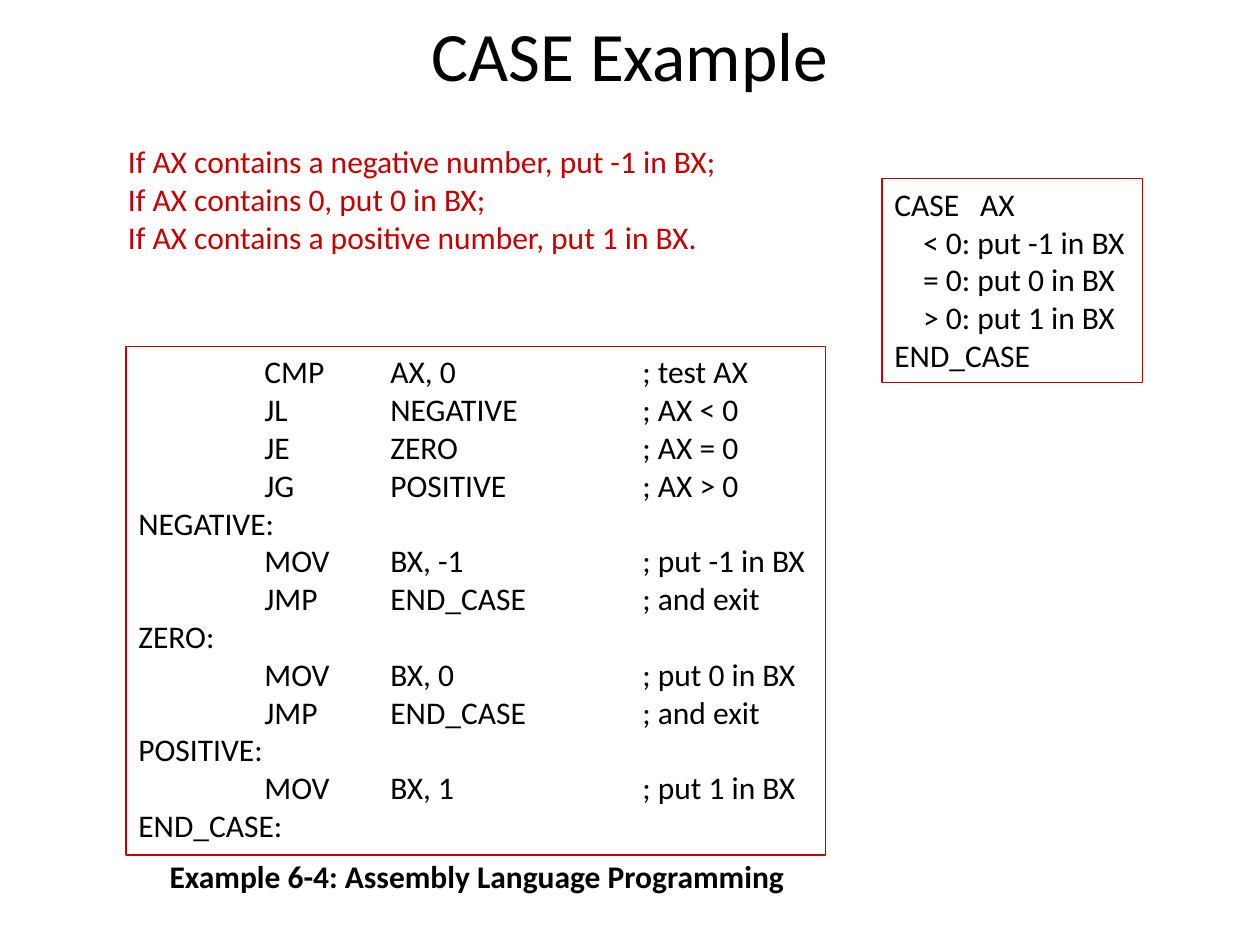
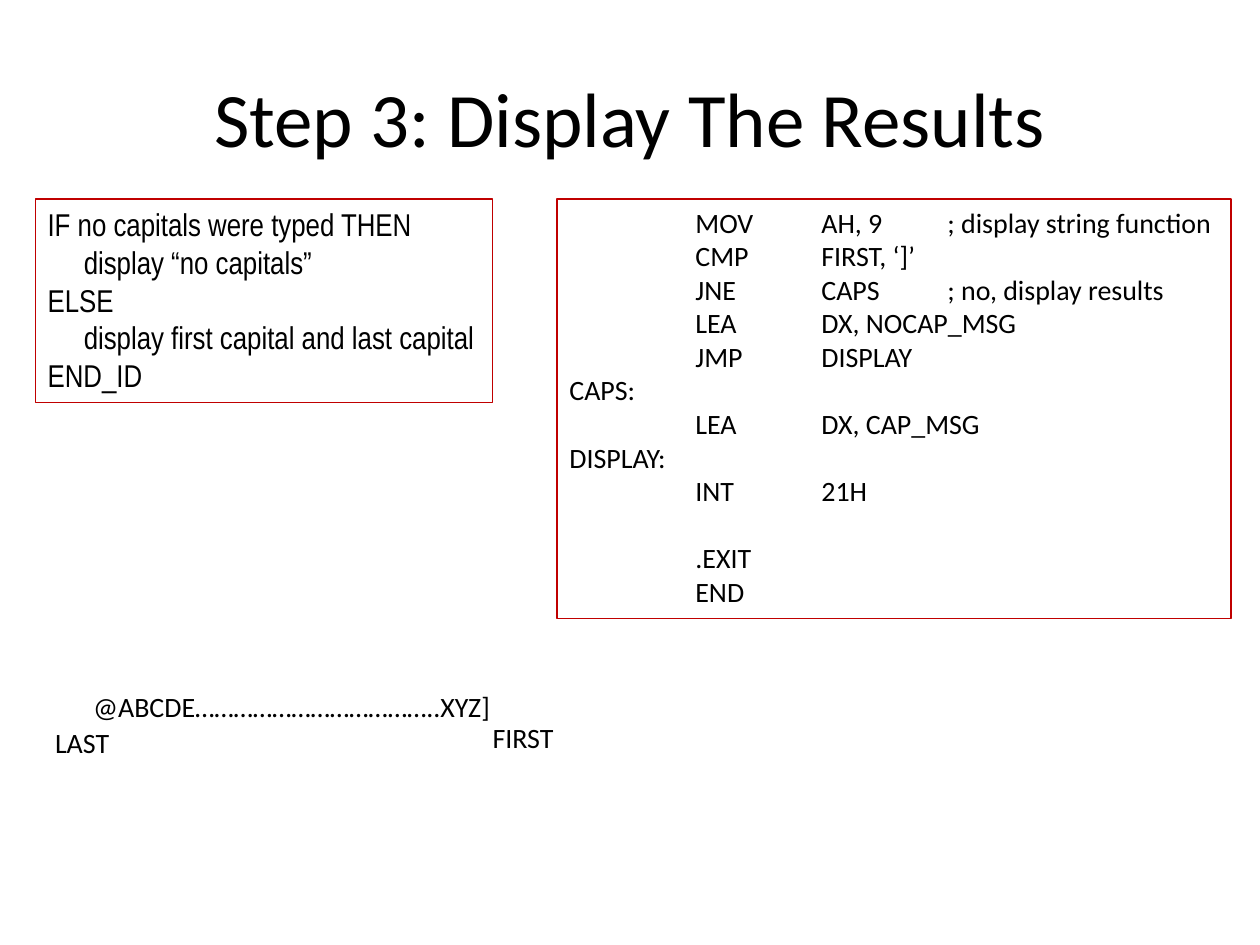
from lxml.etree import SubElement
from pptx import Presentation
from pptx.dml.color import RGBColor
from pptx.enum.shapes import MSO_SHAPE as Kind
from pptx.enum.text import MSO_ANCHOR as Anchor, PP_ALIGN as Align
from pptx.oxml.ns import qn
from pptx.util import Cm, Pt

BLACK = RGBColor(0x00, 0x00, 0x00)
RED = RGBColor(0xC0, 0x00, 0x00)
FONT = "Calibri"
NARROW = "Arial Narrow"

RULES = [
    "If AX contains a negative number, put -1 in BX;",
    "If AX contains 0, put 0 in BX;",
    "If AX contains a positive number, put 1 in BX.",
]
CASE = [
    "CASE\tAX",
    "\t< 0: put -1 in BX",
    "\t= 0: put 0 in BX",
    "\t> 0: put 1 in BX",
    "END_CASE",
]
BRANCH = [
    "\tCMP\tAX, 0\t; test AX",
    "\tJL\tNEGATIVE\t; AX < 0",
    "\tJE\tZERO\t; AX = 0",
    "\tJG\tPOSITIVE\t; AX > 0",
    "NEGATIVE:",
    "\tMOV\tBX, -1\t; put -1 in BX",
    "\tJMP\tEND_CASE\t; and exit",
    "ZERO:",
    "\tMOV\tBX, 0\t; put 0 in BX",
    "\tJMP\tEND_CASE\t; and exit",
    "POSITIVE:",
    "\tMOV\tBX, 1\t; put 1 in BX",
    "END_CASE:",
]
CAPTION = ["Example 6-4: Assembly Language Programming"]

TEST = [
    "IF no capitals were typed THEN",
    "\tdisplay “no capitals”",
    "ELSE",
    "\tdisplay first capital and last capital",
    "END_ID",
]
PRINT = [
    "\tMOV\tAH, 9\t; display string function",
    "\tCMP\tFIRST, ‘]’",
    "\tJNE\tCAPS\t; no, display results",
    "\tLEA\tDX, NOCAP_MSG",
    "\tJMP\tDISPLAY",
    "CAPS:",
    "\tLEA\tDX, CAP_MSG",
    "DISPLAY:",
    "\tINT\t21H",
    "\t.EXIT",
    "\tEND",
]
EXIT = PRINT.index("\t.EXIT")

# Each label: text, then left, top, width, height in cm
LABELS = [
    ("@ABCDE………………………………..XYZ]", (1.63, 13.77, 8.59, 0.94)),
    ("FIRST", (9.68, 14.4, 1.75, 0.94)),
    ("LAST", (0.86, 14.5, 1.63, 0.94)),
]


def write(shape, lines, size, color=BLACK, font=FONT, stops=(), bold=None):
    """Fill a shape with one paragraph per line, with tab stops in cm."""
    frame = shape.text_frame
    frame.word_wrap = True
    frame.vertical_anchor = Anchor.TOP
    frame.text = "\n".join(lines)
    for par in frame.paragraphs:
        par.alignment = Align.LEFT
        if stops:
            tabs = SubElement(par._p.get_or_add_pPr(), qn("a:tabLst"))
            for stop in stops:
                SubElement(tabs, qn("a:tab"), pos=str(Cm(stop)), algn="l")
        for run in par.runs:
            run.font.name = font
            run.font.size = Pt(size)
            run.font.bold = bold
            run.font.color.rgb = color
    return frame


def label(shapes, lines, place, size, **style):
    box = shapes.add_textbox(*map(Cm, place))
    return write(box, lines, size, **style)


def panel(shapes, lines, place, size, **style):
    """Add text in a red outline."""
    box = shapes.add_shape(Kind.RECTANGLE, *map(Cm, place))
    box.shadow.inherit = False
    box.fill.background()
    box.line.color.rgb = RED
    box.line.width = Pt(0.75)
    return write(box, lines, size, **style)


def start(deck, title, top, height, size):
    """Add a blank slide with a centred title and return its shapes."""
    shapes = deck.slides.add_slide(deck.slide_layouts[6]).shapes
    frame = label(shapes, [title], (1.27, top, 22.86, height), size)
    frame.vertical_anchor = Anchor.MIDDLE
    frame.paragraphs[0].alignment = Align.CENTER
    return shapes


def case(deck):
    shapes = start(deck, "CASE Example", 0.2, 1.78, 39.6)
    label(shapes, RULES, (2.33, 2.74, 12.52, 2.57), 18, color=RED)
    panel(shapes, CASE, (17.78, 3.6, 5.26, 4.11), 18, stops=(0.58, 1.73))
    panel(shapes, BRANCH, (2.54, 6.98, 14.1, 10.26), 18,
          stops=(2.54, 5.08, 10.16))
    label(shapes, CAPTION, (3.17, 17.15, 13, 1.02), 18, bold=True)


def results(deck):
    shapes = start(deck, "Step 3: Display The Results", 0.76, 3.18, 44)
    panel(shapes, TEST, (0.71, 4.01, 9.22, 4.11), 18, font=NARROW,
          stops=(0.73,))
    code = panel(shapes, PRINT, (11.23, 4.01, 13.59, 8.46), 16,
                 stops=(2.54, 5.08, 7.62))
    code.paragraphs[EXIT].space_before = Pt(19.2)
    group = shapes.add_group_shape()
    for text, place in LABELS:
        label(group.shapes, [text], place, 16)


def main():
    deck = Presentation()
    deck.slide_width, deck.slide_height = Cm(25.4), Cm(19.05)
    case(deck)
    results(deck)
    deck.save("out.pptx")


if __name__ == "__main__":
    main()
